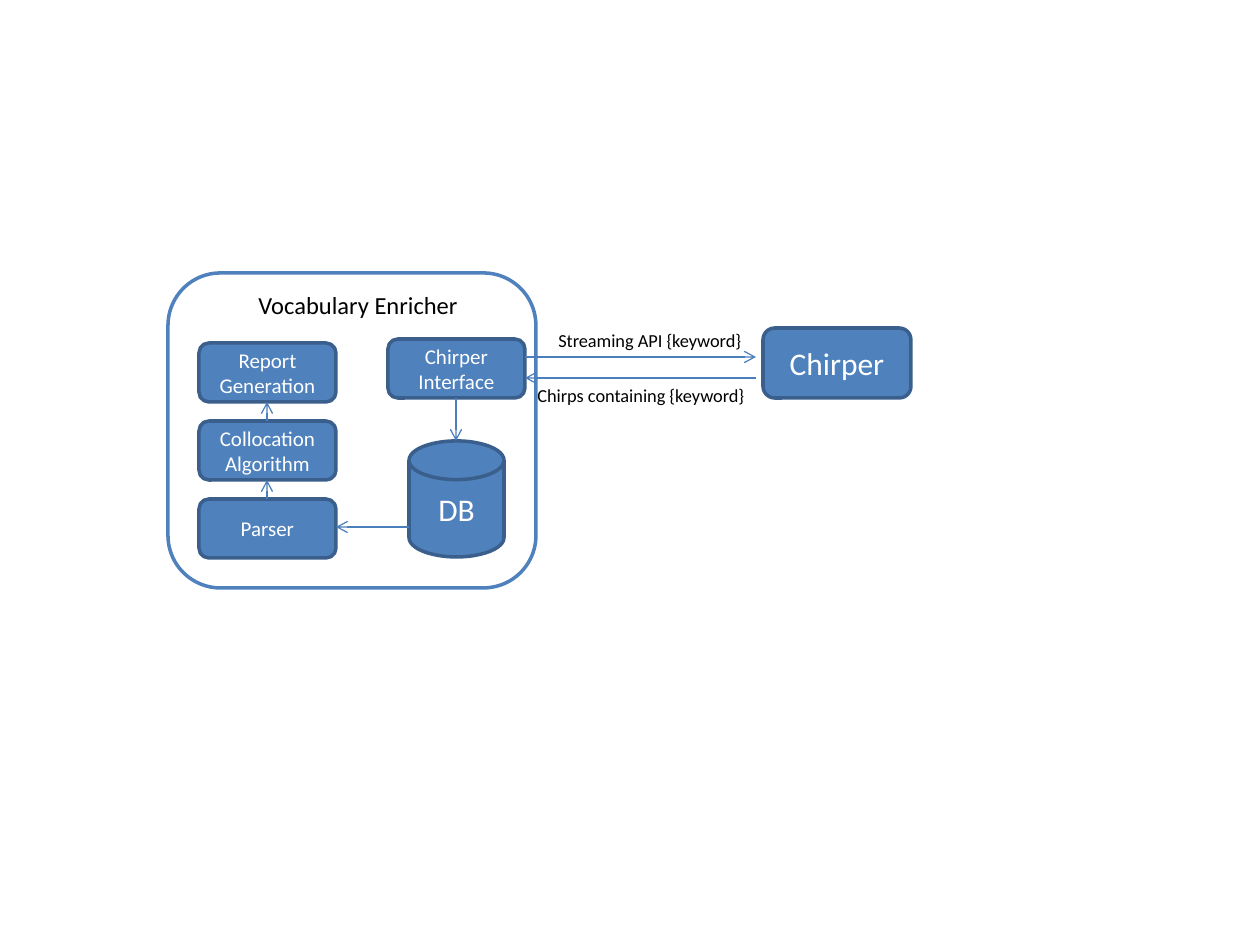
from dataclasses import dataclass
from lxml.etree import SubElement
from pptx import Presentation
from pptx.dml.color import RGBColor
from pptx.enum.shapes import MSO_CONNECTOR as Connector, MSO_SHAPE as Shape
from pptx.enum.text import MSO_ANCHOR as Anchor, PP_ALIGN as Align
from pptx.oxml.ns import qn
from pptx.util import Pt


@dataclass(frozen=True)
class Theme:
    font: str = "Calibri"
    paper: RGBColor = RGBColor.from_string("FFFFFF")
    ink: RGBColor = RGBColor.from_string("000000")
    blue: RGBColor = RGBColor.from_string("4F81BD")
    edge: RGBColor = RGBColor.from_string("3A5F8C")
    arrow: RGBColor = RGBColor.from_string("4B7EBC")
    large: float = 18
    heading: float = 14
    body: float = 12
    label: float = 10.5
    outline: float = 2
    thin: float = 0.75


theme = Theme()
PIXEL = 914400 // 126


def add_node(kind, box, fill, edge):
    node = slide.shapes.add_shape(kind, *(v * PIXEL for v in box))
    node.shadow.inherit = False
    node.fill.solid()
    node.fill.fore_color.rgb = fill
    node.line.color.rgb = edge
    node.line.width = Pt(theme.outline)
    return node


def write(frame, words, size, color, align):
    frame.word_wrap = True
    frame.text = words
    paragraph = frame.paragraphs[0]
    paragraph.alignment = align
    paragraph.font.name = theme.font
    paragraph.font.size = Pt(size)
    paragraph.font.color.rgb = color


deck = Presentation()
deck.slide_width = 1260 * PIXEL
deck.slide_height = 945 * PIXEL
slide = deck.slides.add_slide(deck.slide_layouts[6])

add_node(Shape.ROUNDED_RECTANGLE, (168, 273, 368, 315), theme.paper, theme.blue)

step_left, step_top, step_pitch = 199, 343, 78
step_width, step_height = 137, 59
steps = ["Report Generation", "Collocation Algorithm", "Parser"]
nodes = [
    (Shape.ROUNDED_RECTANGLE,
     (step_left, step_top + i * step_pitch, step_width, step_height), step, theme.body)
    for i, step in enumerate(steps)
] + [
    (Shape.ROUNDED_RECTANGLE, (388, 339, step_width, step_height), "Chirper Interface", theme.body),
    (Shape.FLOWCHART_MAGNETIC_DISK, (409, 441, 95, 116), "DB", theme.large),
    (Shape.ROUNDED_RECTANGLE, (763, 328, 148, 70), "Chirper", theme.large),
]
for kind, box, words, size in nodes:
    node = add_node(kind, box, theme.blue, theme.edge)
    node.text_frame.vertical_anchor = Anchor.MIDDLE
    write(node.text_frame, words, size, theme.paper, Align.CENTER)

step_center = step_left + step_width // 2
flows = [
    (456, 398, 456, 441),
    (409, 527, 336, 527),
    (525, 357, 756, 357),
    (756, 378, 525, 378),
] + [
    (step_center, step_top + i * step_pitch,
     step_center, step_top + (i - 1) * step_pitch + step_height)
    for i in (2, 1)
]
for flow in flows:
    arrow = slide.shapes.add_connector(Connector.STRAIGHT, *(v * PIXEL for v in flow))
    arrow.line.color.rgb = theme.arrow
    arrow.line.width = Pt(theme.thin)
    SubElement(arrow.line._get_or_add_ln(), qn("a:tailEnd"), type="arrow")
    SubElement(arrow._element.spPr, qn("a:effectLst"))

labels = [
    ((246, 284, 227, 43), "Vocabulary Enricher", theme.heading),
    ((546, 323, 213, 35), "Streaming API {keyword}", theme.label),
    ((525, 378, 248, 35), "Chirps containing {keyword}", theme.label),
]
for box, words, size in labels:
    label = slide.shapes.add_textbox(*(v * PIXEL for v in box))
    write(label.text_frame, words, size, theme.ink, Align.LEFT)

deck.save("out.pptx")
